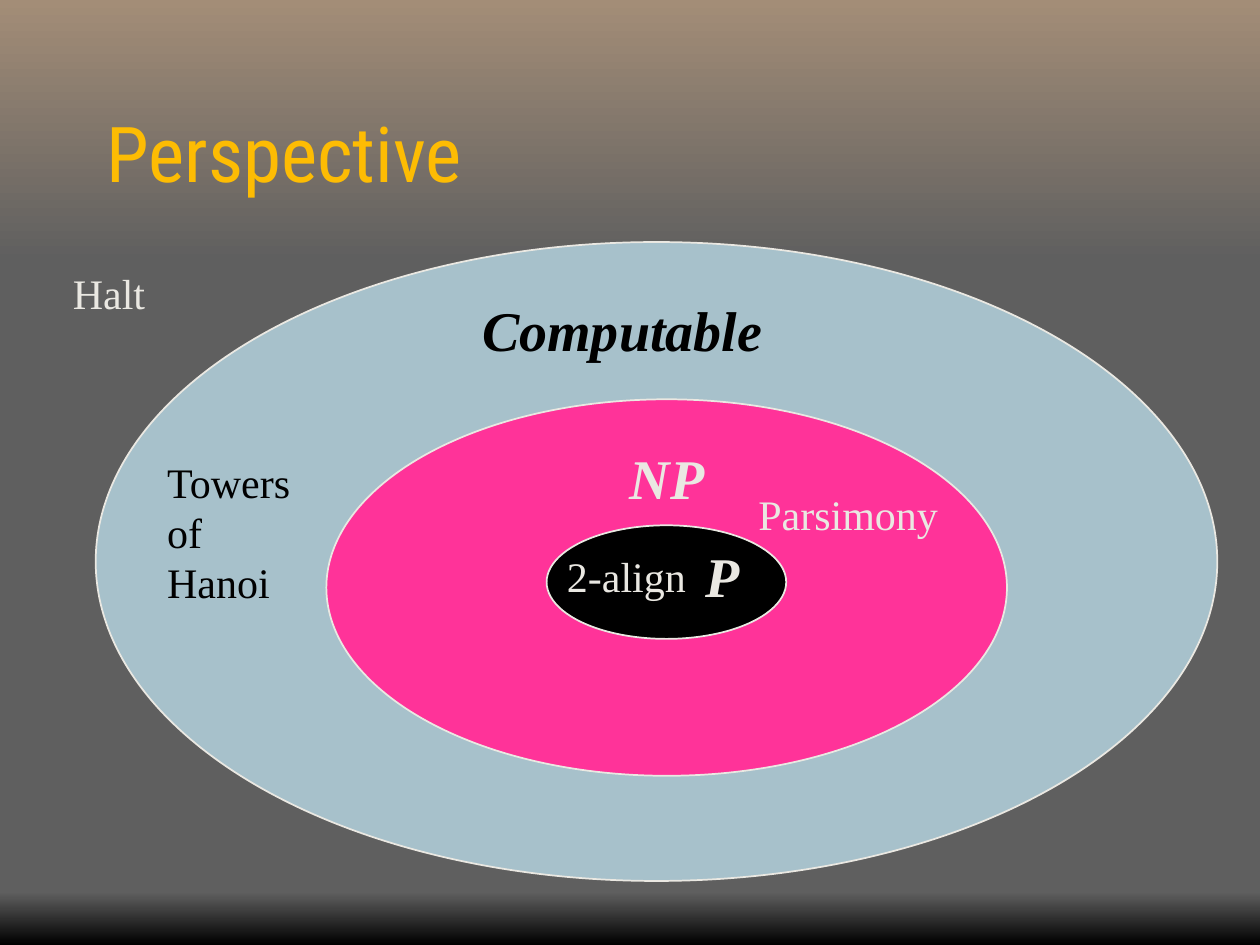
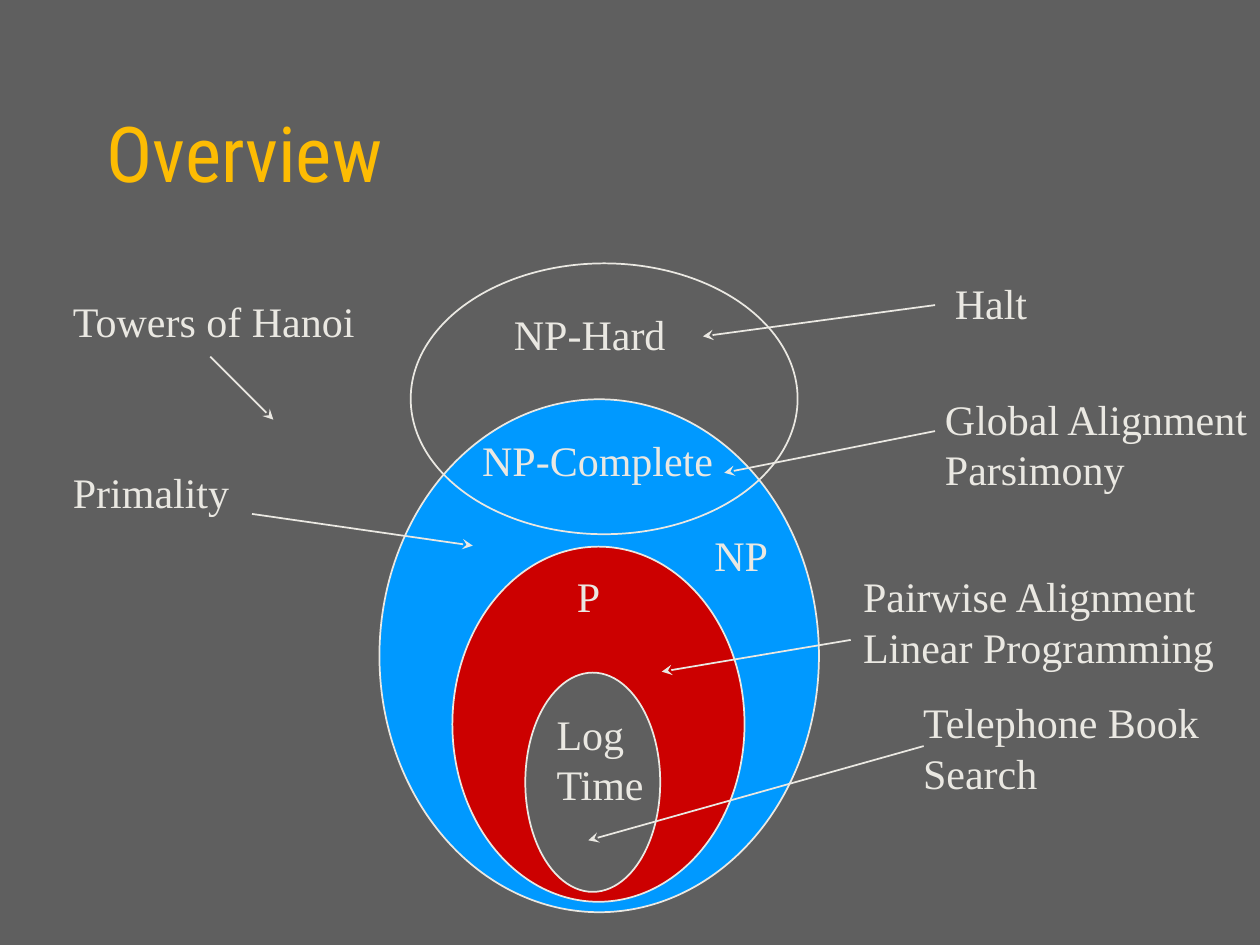
from dataclasses import dataclass
from typing import NamedTuple, Optional

from lxml.etree import SubElement
from pptx import Presentation
from pptx.dml.color import RGBColor as Rgb
from pptx.enum.shapes import MSO_CONNECTOR as Connector, MSO_SHAPE as Preset
from pptx.enum.text import MSO_ANCHOR as Anchor, MSO_AUTO_SIZE as AutoSize
from pptx.oxml import parse_xml
from pptx.oxml.ns import nsdecls, qn
from pptx.util import Cm, Pt


@dataclass(frozen=True)
class Theme:
    backdrop: str = "5F5F5F"
    sand: str = "A38D77"
    black: str = "000000"
    gold: str = "FDBC03"
    ivory: str = "EAE8E2"
    steel: str = "A7C1CB"
    pink: str = "FF3399"
    blue: str = "0099FF"
    red: str = "CC0000"
    title_font: str = "Roboto Condensed"
    body_font: str = "Times New Roman"
    title_size: int = 44
    class_size: int = 32
    body_size: int = 24
    line_width: int = 1


THEME = Theme()
PAGE_WIDTH, PAGE_HEIGHT = 25.4, 19.05
TITLE_AREA = (1.9, 1.47, 21.59, 3.18)


class Oval(NamedTuple):
    area: tuple
    fill: Optional[str] = None


class Label(NamedTuple):
    text: str
    left: float
    top: float
    width: float
    color: str = THEME.ivory
    is_class: bool = False
    wrapped_lines: int = 0


# Bands: top, height, upper colour, lower colour
PERSPECTIVE_BANDS = [
    (0, 5.28, THEME.sand, THEME.backdrop),
    (17.98, 1.07, THEME.backdrop, THEME.black),
]
PERSPECTIVE_OVALS = [
    Oval((1.93, 4.88, 22.61, 12.88), THEME.steel),
    Oval((6.58, 8.05, 13.72, 7.59), THEME.pink),
    Oval((11.02, 10.59, 4.83, 2.29), THEME.black),
]
PERSPECTIVE_LABELS = [
    Label("Halt", 1.22, 5.26, 1.98),
    Label("Computable", 9.47, 5.84, 6.17, THEME.black, is_class=True),
    Label("NP", 12.45, 8.81, 2.03, is_class=True),
    Label("P", 13.97, 10.8, 1.19, is_class=True),
    Label("Towers\nof\nHanoi", 3.12, 9.07, 3.05, THEME.black),
    Label("Parsimony", 15.04, 9.73, 4.14),
    Label("2-align", 11.18, 10.97, 2.92),
]

OVERVIEW_OVALS = [
    Oval((7.65, 8.05, 8.86, 10.34), THEME.blue),
    Oval((8.28, 5.31, 7.8, 5.46)),
    Oval((9.12, 11.02, 5.89, 7.16), THEME.red),
    Oval((10.59, 13.56, 2.72, 4.42), THEME.backdrop),
]
OVERVIEW_LABELS = [
    Label("NP-Hard", 10.11, 6.1, 3.58),
    Label("NP-Complete", 9.47, 8.64, 5.18),
    Label("NP", 14.15, 10.54, 1.6),
    Label("P", 11.38, 11.38, 0.99),
    Label("Log\nTime", 10.97, 14.15, 2.31),
    Label("Towers of Hanoi", 1.22, 5.84, 6.25),
    Label("Primality", 1.22, 9.27, 3.66),
    Label("Halt", 19, 5.46, 1.98),
    Label("Global Alignment\nParsimony", 18.8, 7.8, 6.65),
    Label("Pairwise Alignment Linear Programming", 17.15, 11.38, 7.62, wrapped_lines=2),
    Label("Telephone Book\nSearch", 18.36, 13.92, 6.12),
]
# Arrows: start point, then the point in the diagram
OVERVIEW_ARROWS = [
    ((4.24, 7.19), (5.51, 8.46)),
    ((5.08, 10.36), (9.53, 11)),
    ((18.85, 6.15), (14.17, 6.78)),
    ((18.85, 8.69), (14.6, 9.53)),
    ((17.15, 12.9), (13.34, 13.54)),
    ((18.62, 15.04), (11.86, 16.94)),
]


def rgb(code):
    return Rgb.from_string(code)


def in_cm(values):
    return [Cm(value) for value in values]


def style_line(line):
    line.color.rgb = rgb(THEME.ivory)
    line.width = Pt(THEME.line_width)


def format_spans(frame, font_name, size, color, emphasis=False):
    for para in frame.paragraphs:
        for span in para.runs:
            font = span.font
            font.name, font.size = font_name, Pt(size)
            font.color.rgb = rgb(color)
            font.bold = font.italic = emphasis


def add_text_shadow(span):
    """Give the letters a small dark shadow to the lower right."""
    effects = parse_xml(
        f'<a:effectLst {nsdecls("a")}>'
        '<a:outerShdw dist="35921" dir="2700000">'
        f'<a:srgbClr val="{THEME.black}"/></a:outerShdw></a:effectLst>'
    )
    span.font.fill  # the effect list has to follow the fill
    span.font._element.find(qn("a:solidFill")).addnext(effects)


def add_title(page, text):
    box = page.shapes.add_textbox(*in_cm(TITLE_AREA))
    frame = box.text_frame
    frame.word_wrap = True
    frame.vertical_anchor = Anchor.MIDDLE
    frame.text = text
    format_spans(frame, THEME.title_font, THEME.title_size, THEME.gold)
    add_text_shadow(frame.paragraphs[0].runs[0])


def add_band(page, top, height, upper, lower):
    """Draw a full-width band that fades from upper to lower colour."""
    band = page.shapes.add_shape(Preset.RECTANGLE, *in_cm((0, top, PAGE_WIDTH, height)))
    band.shadow.inherit = False
    band.line.fill.background()
    band.fill.gradient()
    band.fill.gradient_angle = 270
    for position, (stop, color) in enumerate(zip(band.fill.gradient_stops, (upper, lower))):
        stop.position = position
        stop.color.rgb = rgb(color)


def add_oval(page, oval):
    shape = page.shapes.add_shape(Preset.OVAL, *in_cm(oval.area))
    shape.shadow.inherit = False
    style_line(shape.line)
    if oval.fill:
        shape.fill.solid()
        shape.fill.fore_color.rgb = rgb(oval.fill)
    else:
        shape.fill.background()


def add_label(page, label):
    size = THEME.class_size if label.is_class else THEME.body_size
    lines = label.wrapped_lines or label.text.count("\n") + 1
    height = 0.25 + lines * size * 2.54 / 60
    box = page.shapes.add_textbox(*in_cm((label.left, label.top, label.width, height)))
    frame = box.text_frame
    frame.word_wrap = label.wrapped_lines > 0
    frame.auto_size = AutoSize.SHAPE_TO_FIT_TEXT
    frame.text = label.text
    format_spans(frame, THEME.body_font, size, label.color, label.is_class)


def add_arrow(page, start, end):
    arrow = page.shapes.add_connector(Connector.STRAIGHT, *in_cm(start + end))
    style_line(arrow.line)
    SubElement(arrow.line._get_or_add_ln(), qn("a:tailEnd"), type="stealth")
    SubElement(arrow._element.spPr, qn("a:effectLst"))


def add_page(deck, title, ovals, labels, bands=(), arrows=()):
    page = deck.slides.add_slide(deck.slide_layouts[6])
    page.background.fill.solid()
    page.background.fill.fore_color.rgb = rgb(THEME.backdrop)
    for band in bands:
        add_band(page, *band)
    add_title(page, title)
    for oval in ovals:
        add_oval(page, oval)
    for label in labels:
        add_label(page, label)
    for arrow in arrows:
        add_arrow(page, *arrow)


def main():
    deck = Presentation()
    deck.slide_width, deck.slide_height = in_cm((PAGE_WIDTH, PAGE_HEIGHT))
    add_page(deck, "Perspective", PERSPECTIVE_OVALS, PERSPECTIVE_LABELS, bands=PERSPECTIVE_BANDS)
    add_page(deck, "Overview", OVERVIEW_OVALS, OVERVIEW_LABELS, arrows=OVERVIEW_ARROWS)
    deck.save("out.pptx")


if __name__ == "__main__":
    main()
